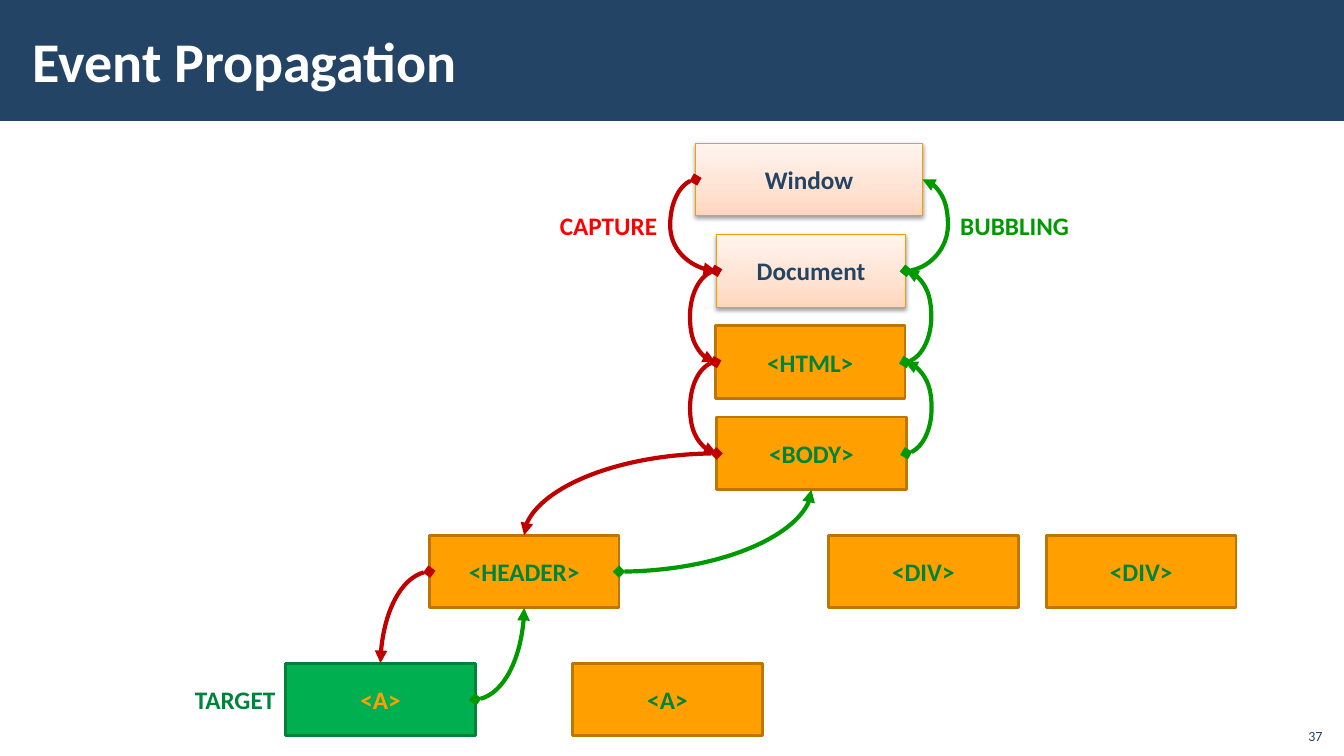
"""Build the event propagation slide."""
import copy
import dataclasses

import pptx
import pptx.dml.color
import pptx.enum.shapes
import pptx.enum.text
import pptx.oxml
import pptx.oxml.ns
import pptx.util

Cm = pptx.util.Cm
Pt = pptx.util.Pt
qn = pptx.oxml.ns.qn
ALIGN = pptx.enum.text.PP_ALIGN
ANCHOR = pptx.enum.text.MSO_ANCHOR
RECTANGLE = pptx.enum.shapes.MSO_SHAPE.RECTANGLE
CURVE = pptx.enum.shapes.MSO_CONNECTOR.CURVE
TOP, LEFT, BOTTOM, RIGHT = range(4)


@dataclasses.dataclass(frozen=True)
class Theme:
    """Colours, font and type sizes of the slide."""
    font: str = "Calibri"
    title_size: int = 40
    body_size: int = 18
    number_size: int = 10
    navy: str = "234465"
    white: str = "FFFFFF"
    orange: str = "FFA000"
    orange_edge: str = "BD7600"
    peach_edge: str = "F99C00"
    peach: tuple = ((0, "FFD6BD"), (0.35, "FFE2D1"), (1, "FFF4EE"))
    green_text: str = "00843C"
    target: str = "00B050"
    target_edge: str = "00823B"
    capture: str = "C00000"
    capture_text: str = "FF0000"
    bubbling: str = "009900"


@dataclasses.dataclass(frozen=True)
class Box:
    """A region in centimetres."""
    left: float
    top: float
    width: float
    height: float

    def inside(self, left, top, width, height):
        """Return a box placed relative to this one."""
        return Box(self.left + left, self.top + top, width, height)

    def lengths(self):
        """Return left, top, width and height as lengths."""
        return [Cm(value) for value in (self.left, self.top, self.width, self.height)]


THEME = Theme()
NODE_WIDTH, NODE_HEIGHT = 4.78, 1.83
STACK_PITCH = 2.3
HEADER_ROW, LINK_ROW = 9.88, 13.1
BULGE = 0.64

NODES = {
    "window": ("Window", "object", 10.33, 0, 5.72),
    "document": ("Document", "object", 10.85, STACK_PITCH, NODE_WIDTH),
    "html": ("<HTML>", "element", 10.83, 2 * STACK_PITCH, NODE_WIDTH),
    "body": ("<BODY>", "element", 10.86, 3 * STACK_PITCH, NODE_WIDTH),
    "header": ("<HEADER>", "element", 3.62, HEADER_ROW, NODE_WIDTH),
    "first div": ("<DIV>", "element", 13.68, HEADER_ROW, NODE_WIDTH),
    "second div": ("<DIV>", "element", 19.17, HEADER_ROW, NODE_WIDTH),
    "target": ("<A>", "target", 0, LINK_ROW, NODE_WIDTH),
    "other link": ("<A>", "element", 7.23, LINK_ROW, NODE_WIDTH),
}
NODE_STYLES = {
    "object": (None, THEME.peach_edge, 0.75, THEME.navy),
    "element": (THEME.orange, THEME.orange_edge, 2, THEME.green_text),
    "target": (THEME.target, THEME.target_edge, 2, THEME.orange),
}
LABELS = (
    ("CAPTURE", 5.14, 1.55, ALIGN.RIGHT, THEME.capture_text),
    ("TARGET", -4.48, 13.51, ALIGN.RIGHT, THEME.green_text),
    ("BUBBLING", 16.75, 1.55, ALIGN.LEFT, THEME.bubbling),
)
CAPTURE_ROUTE = ("window", "document", "html", "body", "header", "target")


def rgb(value):
    """Return a colour from its hexadecimal form."""
    return pptx.dml.color.RGBColor.from_string(value)


def write(shape, text, size, color, bold=True, align=ALIGN.LEFT, anchor=ANCHOR.MIDDLE):
    """Put one formatted run into a shape."""
    frame = shape.text_frame
    frame.word_wrap = True
    frame.vertical_anchor = anchor
    paragraph = frame.paragraphs[0]
    paragraph.alignment = align
    run = paragraph.add_run()
    run.text = text
    run.font.name = THEME.font
    run.font.size = Pt(size)
    run.font.bold = bold
    run.font.color.rgb = rgb(color)


def add_banner(slide, box):
    """Draw the title band and place the title in it."""
    band = slide.shapes.add_shape(RECTANGLE, *box.lengths())
    band.shadow.inherit = False
    band.fill.solid()
    band.fill.fore_color.rgb = rgb(THEME.navy)
    band.line.fill.background()
    title = slide.shapes.title
    title._element.addprevious(band._element)
    title.left, title.top, title.width, title.height = box.inside(0.53, 0.28, 27, 2.46).lengths()
    frame = title.text_frame
    frame.margin_left = frame.margin_right = Cm(0.3)
    frame.margin_top = frame.margin_bottom = Cm(0.1)
    write(title, "Event Propagation", THEME.title_size, THEME.white)


def add_page_number(slide, box):
    """Write the page number."""
    number = slide.shapes.add_textbox(*box.lengths())
    write(number, "37", THEME.number_size, THEME.navy, False, ALIGN.CENTER, ANCHOR.BOTTOM)


def fill_peach(shape):
    """Give a shape the peach gradient and a soft shadow."""
    shape.fill.gradient()
    shape.fill.gradient_angle = 90
    stops = shape._element.spPr.find(qn("a:gradFill")).find(qn("a:gsLst"))
    stops.insert(1, copy.deepcopy(stops[0]))
    for stop, (position, color) in zip(shape.fill.gradient_stops, THEME.peach):
        stop.position = position
        stop.color.rgb = rgb(color)
    shape._element.spPr.find(qn("a:effectLst")).append(pptx.oxml.parse_xml(
        f'<a:outerShdw {pptx.oxml.ns.nsdecls("a")} blurRad="40000" dist="20000" '
        'dir="5400000" rotWithShape="0"><a:srgbClr val="000000">'
        '<a:alpha val="38000"/></a:srgbClr></a:outerShdw>'))


def add_node(slide, box, text, style):
    """Draw one box of the tree."""
    fill, edge, edge_width, color = NODE_STYLES[style]
    node = slide.shapes.add_shape(RECTANGLE, *box.lengths())
    node.shadow.inherit = False
    if fill:
        node.fill.solid()
        node.fill.fore_color.rgb = rgb(fill)
    else:
        fill_peach(node)
    node.line.color.rgb = rgb(edge)
    node.line.width = Pt(edge_width)
    write(node, text, THEME.body_size, color, align=ALIGN.CENTER)
    return node


def add_curve(slide, start, start_side, end, end_side, color):
    """Join two nodes with a curved arrow that bulges when both sides agree."""
    curve = slide.shapes.add_connector(CURVE, 0, 0, 0, 0)
    curve.begin_connect(start, start_side)
    curve.end_connect(end, end_side)
    curve.line.color.rgb = rgb(color)
    curve.line.width = Pt(3)
    properties = curve._element.spPr
    geometry = properties.find(qn("a:prstGeom"))
    if start_side == end_side:
        edges = (curve.begin_x, curve.end_x)
        turn = min(edges) - Cm(BULGE) if start_side == LEFT else max(edges) + Cm(BULGE)
        ratio = (turn - curve.begin_x) / (curve.end_x - curve.begin_x)
        guides = geometry.get_or_add_avLst()
        guide = guides.makeelement(qn("a:gd"), {"name": "adj1", "fmla": f"val {round(ratio * 100000)}"})
        guides.append(guide)
    else:
        geometry.set("prst", "curvedConnector2")
    line = properties.find(qn("a:ln"))
    for tag, kind in (("a:headEnd", "diamond"), ("a:tailEnd", "triangle")):
        line.append(line.makeelement(qn(tag), {"type": kind}))
    properties.append(properties.makeelement(qn("a:effectLst"), {}))


def add_tree(slide, box):
    """Draw the document tree, its two event routes and their labels."""
    nodes = {name: add_node(slide, box.inside(left, top, width, NODE_HEIGHT), text, style)
             for name, (text, style, left, top, width) in NODES.items()}
    steps = list(zip(CAPTURE_ROUTE, CAPTURE_ROUTE[1:]))
    for upper, lower in steps:
        end_side = TOP if lower in ("header", "target") else LEFT
        add_curve(slide, nodes[upper], LEFT, nodes[lower], end_side, THEME.capture)
    for upper, lower in reversed(steps):
        end_side = BOTTOM if lower in ("header", "target") else RIGHT
        add_curve(slide, nodes[lower], RIGHT, nodes[upper], end_side, THEME.bubbling)
    for text, left, top, align, color in LABELS:
        label = slide.shapes.add_textbox(*box.inside(left, top, 4.47, 1.02).lengths())
        write(label, text, THEME.body_size, color, align=align)


def main():
    """Create and save the presentation."""
    presentation = pptx.Presentation()
    presentation.slide_width, presentation.slide_height = Cm(33.87), Cm(19.05)
    slide = presentation.slides.add_slide(presentation.slide_layouts[5])
    add_banner(slide, Box(0, 0, 33.87, 3.05))
    add_page_number(slide, Box(32.64, 18.08, 1.02, 0.81))
    add_tree(slide, Box(7.2, 3.61, 23.95, 14.93))
    presentation.save("out.pptx")


if __name__ == "__main__":
    main()
